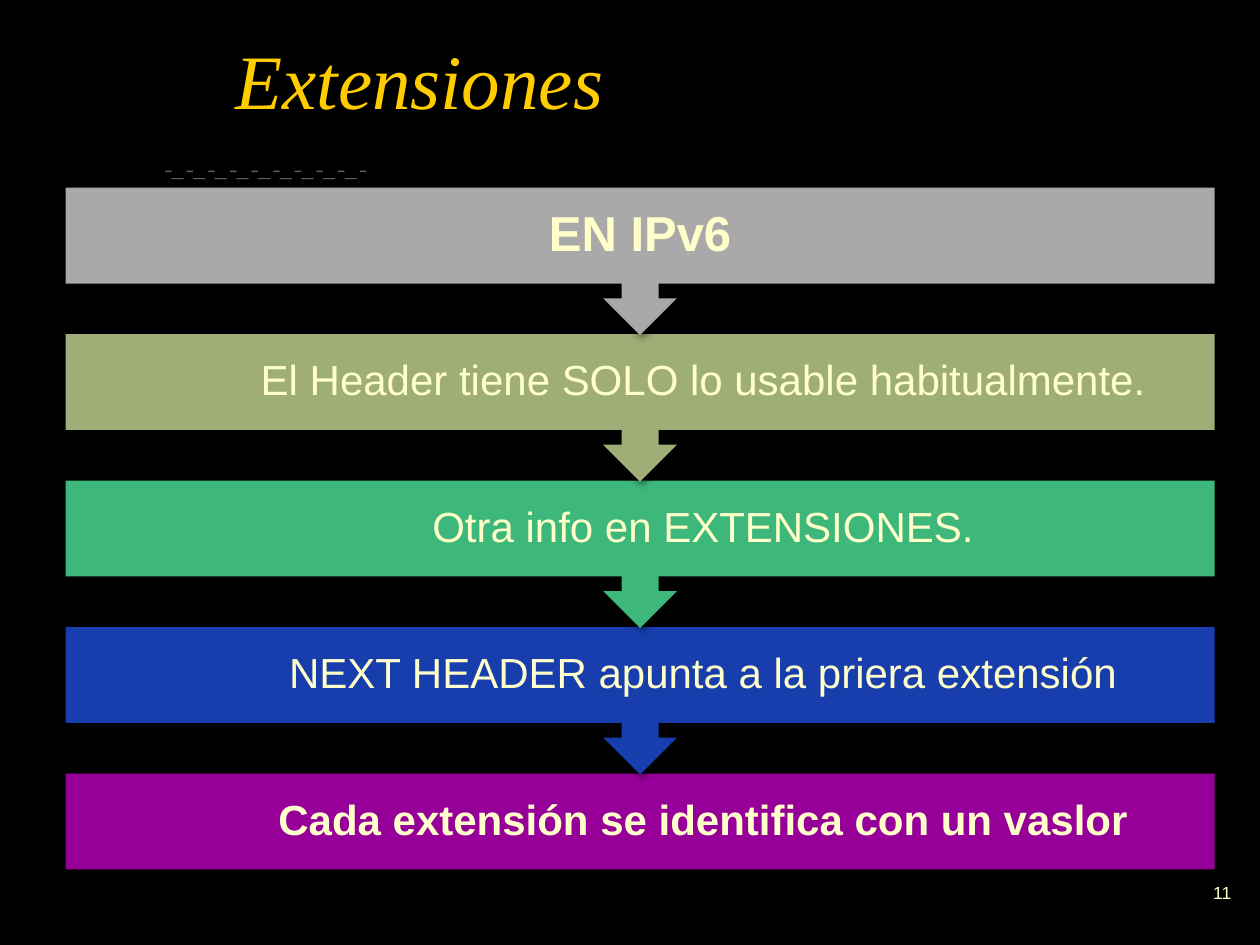
from lxml.etree import SubElement as Sub
from pptx import Presentation
from pptx.dml.color import RGBColor as RGB
from pptx.enum.shapes import MSO_SHAPE as Shape
from pptx.enum.text import MSO_ANCHOR as Anchor, PP_ALIGN as Align
from pptx.oxml.ns import qn
from pptx.util import Inches, Pt


def tint(code):
    return RGB.from_string(code)


class Deck:
    """Holds the style and the current slide."""

    cream = "FFFFCC"
    pad = 0.19
    base = {"name": "Arial", "size": Pt(24), "bold": False, "italic": False}

    def __init__(self, wide, high):
        self.file = Presentation()
        self.file.slide_width = Inches(wide)
        self.file.slide_height = Inches(high)

    def page(self, back):
        self.slide = self.file.slides.add_slide(self.file.slide_layouts[5])
        fill = self.slide.background.fill
        fill.solid()
        fill.fore_color.rgb = tint(back)

    def words(self, item, text, color, align=Align.LEFT, **form):
        frame = item.text_frame
        frame.word_wrap = True
        para = frame.paragraphs[0]
        para.alignment = align
        run = para.add_run()
        run.text = text
        for key, value in {**self.base, **form}.items():
            setattr(run.font, key, value)
        run.font.color.rgb = tint(color)
        return run

    def title(self, text, box):
        item = self.slide.shapes.title
        for key, value in zip(("left", "top", "width", "height"), box):
            setattr(item, key, Inches(value))
        item.text_frame.vertical_anchor = Anchor.MIDDLE
        self.words(item, text, "FFCC00", name="Times New Roman",
                   size=Pt(44), italic=True)

    def label(self, text, box, anchor=Anchor.TOP, color=cream, **form):
        item = self.slide.shapes.add_textbox(*map(Inches, box))
        item.text_frame.vertical_anchor = anchor
        return self.words(item, text, color, **form)

    def rule(self, text, box, color, edge):
        run = self.label(text, box, color=color, name="Montserrat",
                         size=Pt(14), italic=True)
        props = run.font._element
        line = Sub(props, qn("a:ln"), w=str(Pt(0.75)))
        fill = Sub(line, qn("a:solidFill"))
        Sub(fill, qn("a:srgbClr"), val=edge)
        props.insert(0, line)

    def shade(self, item):
        item.shadow.inherit = False
        effects = item._element.spPr.find(qn("a:effectLst"))
        outer = Sub(effects, qn("a:outerShdw"), blurRad=str(Pt(3.1)),
                    dist=str(Pt(1.8)), dir="5400000", rotWithShape="0")
        black = Sub(outer, qn("a:srgbClr"), val="000000")
        Sub(black, qn("a:alpha"), val="35000")

    def step(self, text, box, color, kind, shift=0, **form):
        item = self.slide.shapes.add_shape(kind, *map(Inches, box))
        if kind == Shape.DOWN_ARROW_CALLOUT:
            for spot, value in enumerate((0.25, 0.25, 0.25, 0.65)):
                item.adjustments[spot] = value
        item.fill.solid()
        item.fill.fore_color.rgb = tint(color)
        item.line.fill.background()
        self.shade(item)
        frame = item.text_frame
        frame.vertical_anchor = Anchor.MIDDLE
        for side in ("left", "top", "right", "bottom"):
            setattr(frame, f"margin_{side}", Inches(self.pad))
        frame.margin_left = Inches(self.pad + shift)
        self.words(item, text, self.cream, Align.CENTER, **form)
        frame.paragraphs[0].line_spacing = 0.9


def main():
    deck = Deck(10, 7.5)
    deck.page("000000")
    deck.rule("-_-_-_-_-_-_-_-_-_-", (1.2, 1.17, 7.62, 0.2),
              "5F5F5F", "FF3300")
    deck.title("Extensiones", (1.77, 0.24, 6.88, 0.77))
    deck.label("11", (7.79, 6.83, 2.08, 0.5), Anchor.MIDDLE,
               align=Align.RIGHT, size=Pt(10))

    call = Shape.DOWN_ARROW_CALLOUT
    steps = [
        ("EN IPv6", "A9A9A9", call, {"size": Pt(28), "bold": True}),
        ("El Header tiene SOLO lo usable habitualmente.", "9FAD76", call,
         {"shift": 1}),
        ("Otra info en EXTENSIONES.", "3DB87A", call, {"shift": 1}),
        ("NEXT HEADER apunta a la priera extensión", "183DAD", call,
         {"shift": 1}),
        ("Cada extensión se identifica con un vaslor", "960099",
         Shape.RECTANGLE, {"shift": 1, "bold": True}),
    ]
    first, last = 1.49, 6.14
    gap = (last - first) / (len(steps) - 1)
    for spot, (text, color, kind, form) in reversed(list(enumerate(steps))):
        high = 1.17 if kind == call else 0.76
        box = (0.52, first + gap * spot, 9.12, high)
        deck.step(text, box, color, kind, **form)
    deck.file.save("out.pptx")


if __name__ == "__main__":
    main()
